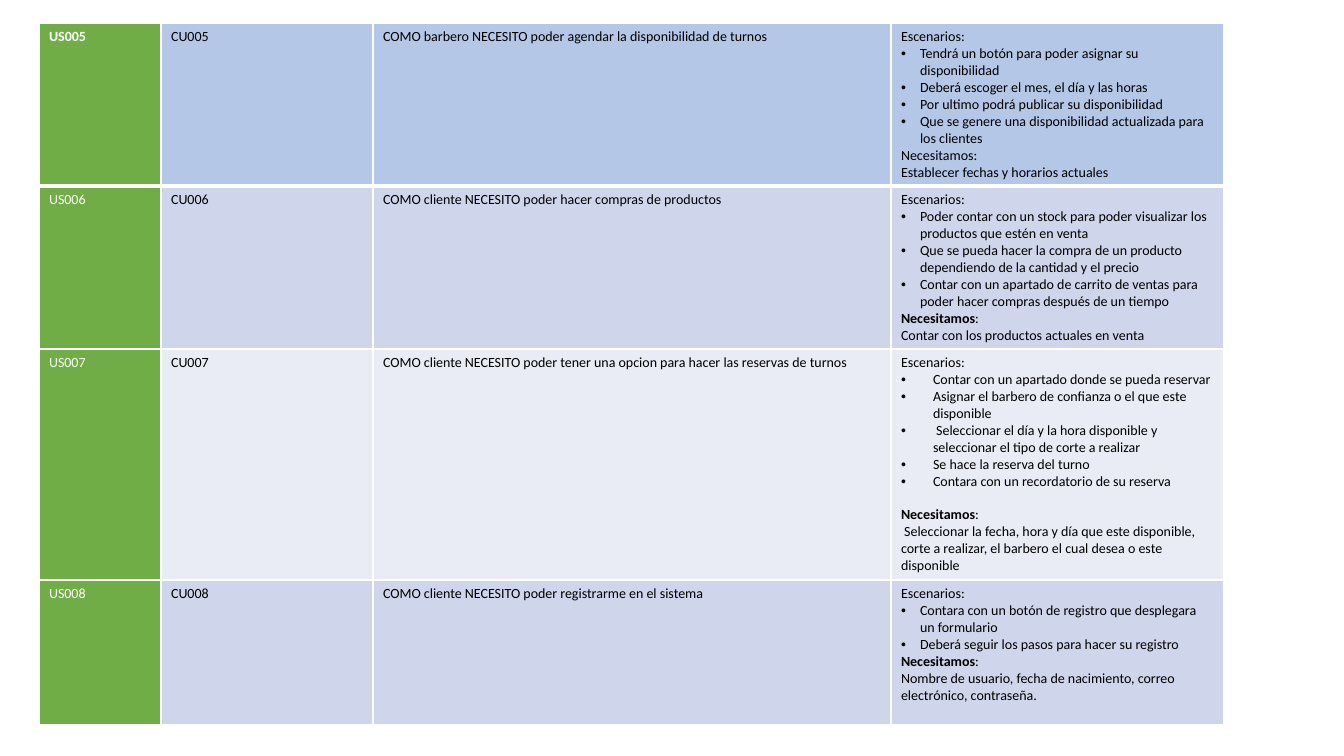
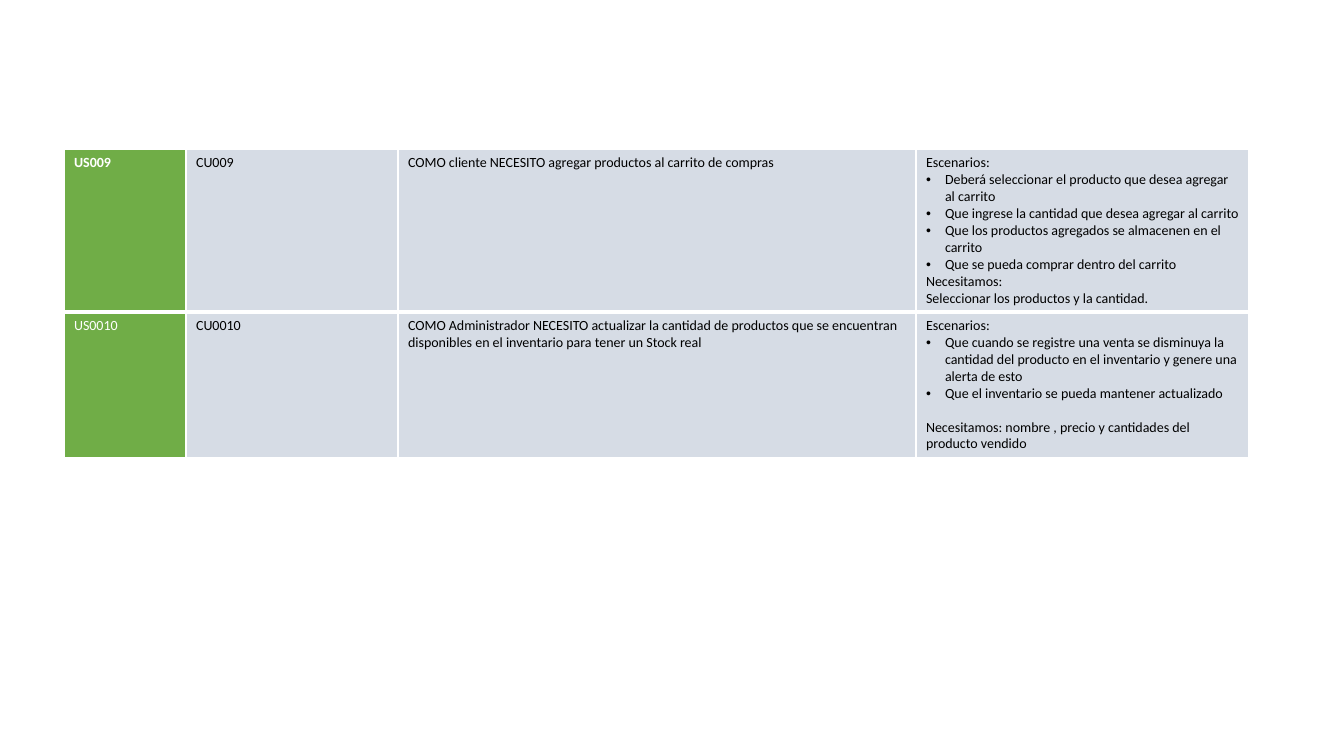
import pptx
import pptx.dml.color
import pptx.oxml
import pptx.oxml.ns
import pptx.util

SCALE = 914400 / 100.8
COLORS = {
    "code": "70AD47",
    "strong": "B4C7E7",
    "band": "CFD5EA",
    "light": "E9EBF5",
    "gray": "D6DCE5",
    "white": "FFFFFF",
    "black": "000000",
}
FONT = {"name": "Calibri", "size": pptx.util.Pt(10)}
COLUMNS = [122, 212, 518, 333]
THIN, THICK = 1, 3
BULLET_INDENT = 19
WIDE_INDENT = 32
GAP = pptx.util.Pt(12)

PAGES = [
    {"left": 39, "top": 23, "rows": [
        {"codes": ["US005", "CU005"], "height": 162, "fill": "strong", "indent": BULLET_INDENT,
         "story": "COMO barbero NECESITO poder agendar la disponibilidad de turnos",
         "scenarios": [
             "Tendrá un botón para poder asignar su disponibilidad",
             "Deberá escoger el mes, el día y las horas",
             "Por ultimo podrá publicar su disponibilidad",
             "Que se genere una disponibilidad actualizada para los clientes"],
         "needs": [["", "Necesitamos:"], ["", "Establecer fechas y horarios actuales"]],
         "gap": 0},
        {"codes": ["US006", "CU006"], "height": 163, "fill": "band", "indent": BULLET_INDENT,
         "story": "COMO cliente NECESITO poder hacer compras de productos",
         "scenarios": [
             "Poder contar con un stock para poder visualizar los productos que estén en venta",
             "Que se pueda hacer la compra de un producto dependiendo de la cantidad y el precio",
             "Contar con un apartado de carrito de ventas para poder hacer compras después de un tiempo"],
         "needs": [["Necesitamos", ":"], ["", "Contar con los productos actuales en venta"]],
         "gap": 0},
        {"codes": ["US007", "CU007"], "height": 231, "fill": "light", "indent": WIDE_INDENT,
         "story": "COMO cliente NECESITO poder tener una opcion para hacer las reservas de turnos",
         "scenarios": [
             "Contar con un apartado donde se pueda reservar",
             "Asignar el barbero de confianza o el que este disponible",
             " Seleccionar el día y la hora disponible y seleccionar el tipo de corte a realizar",
             "Se hace la reserva del turno",
             "Contara con un recordatorio de su reserva"],
         "needs": [["Necesitamos", ":"],
                   ["", " Seleccionar la fecha, hora y día que este disponible, "
                        "corte a realizar, el barbero el cual desea o este disponible"]],
         "gap": GAP},
        {"codes": ["US008", "CU008"], "height": 145, "fill": "band", "indent": BULLET_INDENT,
         "story": "COMO cliente NECESITO poder registrarme en el sistema",
         "scenarios": [
             "Contara con un botón de registro que desplegara un formulario",
             "Deberá seguir los pasos para hacer su registro"],
         "needs": [["Necesitamos", ":"],
                   ["", "Nombre de usuario, fecha de nacimiento, correo electrónico, contraseña."]],
         "gap": 0},
    ]},
    {"left": 64, "top": 149, "rows": [
        {"codes": ["US009", "CU009"], "height": 163, "fill": "gray", "indent": BULLET_INDENT,
         "story": "COMO cliente NECESITO agregar productos al carrito de compras",
         "scenarios": [
             "Deberá seleccionar el producto que desea agregar al carrito",
             "Que ingrese la cantidad que desea agregar al carrito",
             "Que los productos agregados se almacenen en el carrito",
             "Que se pueda comprar dentro del carrito"],
         "needs": [["", "Necesitamos:"], ["", "Seleccionar los productos y la cantidad."]],
         "gap": 0},
        {"codes": ["US0010", "CU0010"], "height": 145, "fill": "gray", "indent": BULLET_INDENT,
         "story": "COMO Administrador NECESITO actualizar la cantidad de productos que se encuentran "
                  "disponibles en el inventario para tener un Stock real",
         "scenarios": [
             "Que cuando se registre una venta se disminuya la cantidad del producto "
             "en el inventario y genere una alerta de esto",
             "Que el inventario se pueda mantener actualizado"],
         "needs": [["", "Necesitamos: nombre , precio y cantidades del producto vendido"]],
         "gap": GAP},
    ]},
]


def px(length):
    return pptx.util.Emu(round(length * SCALE))


def write(para, text, color="black", bold=False):
    span = para.add_run()
    span.text = text
    for key, value in {**FONT, "bold": bold}.items():
        setattr(span.font, key, value)
    span.font.color.rgb = pptx.dml.color.RGBColor.from_string(COLORS[color])


deck = pptx.Presentation()
deck.slide_width, deck.slide_height = px(1344), px(756)
namespace = pptx.oxml.ns.nsdecls("a")

for content in PAGES:
    page = deck.slides.add_slide(deck.slide_layouts[6])
    rows = content["rows"]
    height = sum(row["height"] for row in rows)
    table = page.shapes.add_table(
        len(rows), len(COLUMNS), px(content["left"]), px(content["top"]), px(sum(COLUMNS)), px(height)
    ).table
    table.first_row = table.horz_banding = False
    for column, width in zip(table.columns, COLUMNS):
        column.width = px(width)

    for index, row in enumerate(rows):
        table.rows[index].height = px(row["height"])
        borders = {
            "lnL": THIN,
            "lnR": THIN,
            "lnT": THICK if index == 1 else THIN,
            "lnB": THICK if index == 0 else THIN,
        }
        cells = list(table.rows[index].cells)
        for position, cell in enumerate(cells):
            properties = cell._tc.get_or_add_tcPr()
            for side, weight in borders.items():
                properties.append(pptx.oxml.parse_xml(
                    f'<a:{side} {namespace} w="{pptx.util.Pt(weight)}"><a:solidFill>'
                    f'<a:srgbClr val="{COLORS["white"]}"/></a:solidFill></a:{side}>'
                ))
            cell.fill.solid()
            fill = "code" if position == 0 else row["fill"]
            cell.fill.fore_color.rgb = pptx.dml.color.RGBColor.from_string(COLORS[fill])

        story_code, case_code = row["codes"]
        write(cells[0].text_frame.paragraphs[0], story_code, "white", index == 0)
        write(cells[1].text_frame.paragraphs[0], case_code)
        write(cells[2].text_frame.paragraphs[0], row["story"])

        frame = cells[3].text_frame
        write(frame.paragraphs[0], "Escenarios:")
        for scenario in row["scenarios"]:
            para = frame.add_paragraph()
            settings = para._p.get_or_add_pPr()
            settings.set("marL", str(px(row["indent"])))
            settings.set("indent", str(-px(row["indent"])))
            settings.append(pptx.oxml.parse_xml(f'<a:buFont {namespace} typeface="Arial"/>'))
            settings.append(pptx.oxml.parse_xml(f'<a:buChar {namespace} char="•"/>'))
            write(para, scenario)
        for order, (label, need) in enumerate(row["needs"]):
            para = frame.add_paragraph()
            if order == 0 and row["gap"]:
                para.space_before = row["gap"]
            if label:
                write(para, label, bold=True)
            write(para, need)

deck.save("out.pptx")
